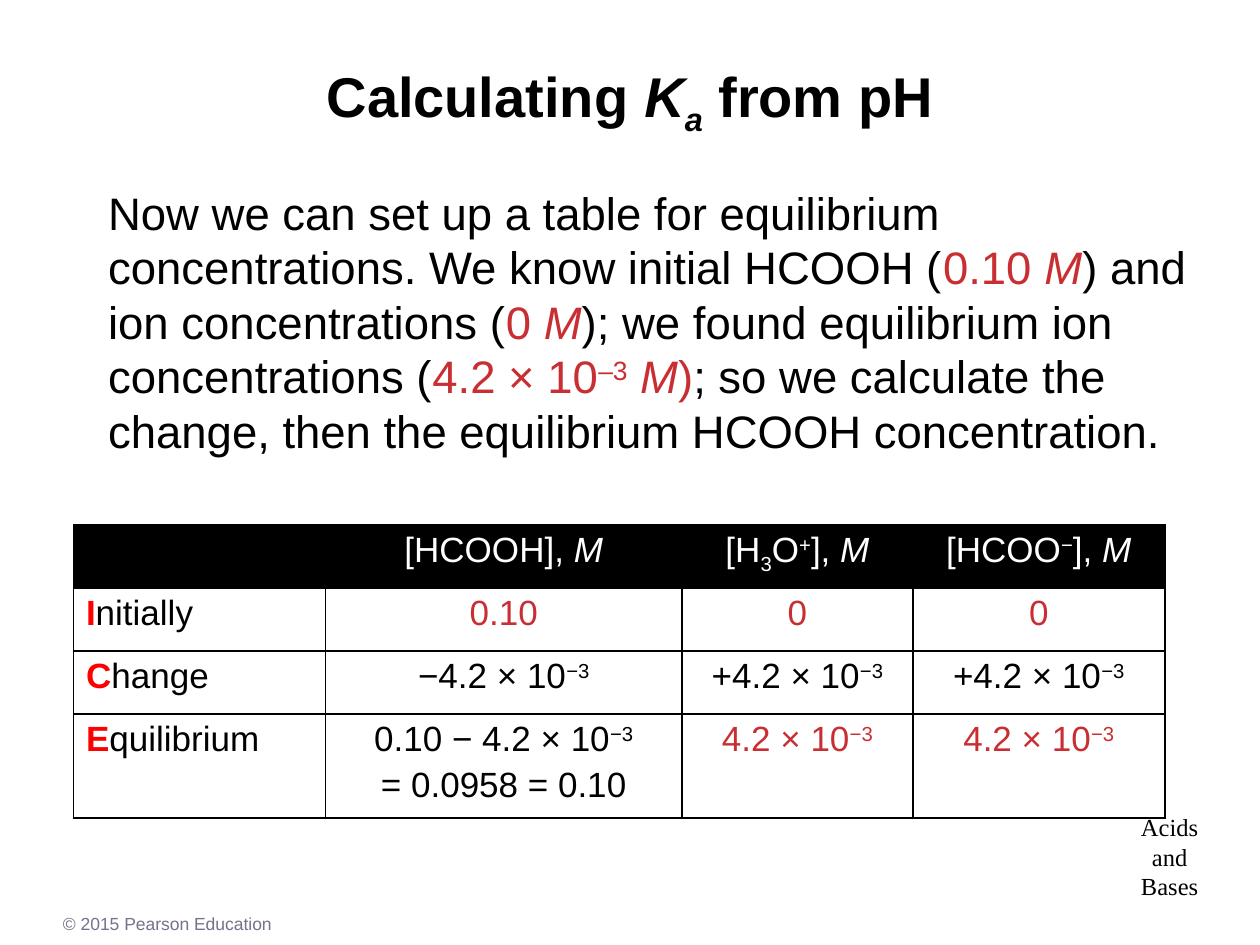
from lxml.etree import SubElement
from pptx import Presentation
from pptx.dml.color import RGBColor
from pptx.enum.text import MSO_ANCHOR, PP_ALIGN
from pptx.oxml.ns import qn
from pptx.util import Cm, Pt

BLACK = RGBColor(0, 0, 0)
WHITE = RGBColor(255, 255, 255)
RED = RGBColor(0xC8, 0x2E, 0x32)
BRIGHT = RGBColor(255, 0, 0)
GREY = RGBColor(0x73, 0x73, 0x8C)

# A paragraph is a list of (text, marks); each mark is one letter.
FONT_MARKS = {
    "b": {"bold": True},
    "i": {"italic": True},
    "r": {"color": RED},
    "k": {"color": BRIGHT},
}
SHIFT_MARKS = {"^": "30000", "_": "-25000"}

TITLE = [("Calculating ", ""), ("K", "i"), ("a", "i_"), (" from pH", "")]
BODY = [
    ("Now we can set up a table for equilibrium concentrations. "
     "We know initial HCOOH (", ""),
    ("0.10 ", "r"), ("M", "ri"),
    (") and ion concentrations (", ""),
    ("0 ", "r"), ("M", "ri"),
    ("); we found equilibrium ion concentrations (", ""),
    ("4.2 × 10", "r"), ("–3", "r^"), (" M", "ri"), (")", "r"),
    ("; so we calculate the change, then the equilibrium HCOOH "
     "concentration.", ""),
]
CHAPTER = [[("Acids", "")], [("and", "")], [("Bases", "")]]
RIGHTS = [("© 2015 Pearson Education", "")]


def power(base, mark=""):
    """Runs for a value times ten to the minus three."""
    return [(base + " × 10", mark), ("−3", mark + "^")]


def label(word):
    """Runs for a row name with its first letter picked out."""
    return [(word[0], "kb"), (word[1:], "")]


# Each cell is a list of paragraphs.
ROWS = [
    [[],
     [[("[HCOOH], ", ""), ("M", "i")]],
     [[("[H", ""), ("3", "_"), ("O", ""), ("+", "^"), ("], ", ""), ("M", "i")]],
     [[("[HCOO", ""), ("−", "^"), ("], ", ""), ("M", "i")]]],
    [[label("Initially")], [[("0.10", "r")]], [[("0", "r")]], [[("0", "r")]]],
    [[label("Change")], [power("−4.2")], [power("+4.2")], [power("+4.2")]],
    [[label("Equilibrium")],
     [power("0.10 − 4.2"), [("= 0.0958 = 0.10", "")]],
     [power("4.2", "r")], [power("4.2", "r")]],
]
WIDTHS = [5.08, 7.19, 4.65, 5.08]
HEIGHTS = [1.27, 1.27, 1.27, 2.1]


def style(font, values):
    for name, value in values.items():
        if name == "color":
            font.color.rgb = value
        else:
            setattr(font, name, value)


def write(frame, paras, form, align=PP_ALIGN.LEFT, gap=0):
    for num, runs in enumerate(paras):
        para = frame.add_paragraph() if num else frame.paragraphs[0]
        para.alignment = align
        para.space_before = Pt(gap if num else 0)
        for text, marks in runs:
            run = para.add_run()
            run.text = text
            style(run.font, form)
            for mark in marks:
                if mark in SHIFT_MARKS:
                    run.font._element.set("baseline", SHIFT_MARKS[mark])
                else:
                    style(run.font, FONT_MARKS[mark])


def add_text(slide, box, paras, form, align=PP_ALIGN.LEFT):
    frame = slide.shapes.add_textbox(*map(Cm, box)).text_frame
    frame.word_wrap = True
    write(frame, paras, form, align)


def add_lines(cell):
    """Draw a thin black line on each side of the cell."""
    props = cell._tc.get_or_add_tcPr()
    for side in ("lnL", "lnR", "lnT", "lnB"):
        line = SubElement(props, qn("a:" + side), w=str(Pt(1)))
        fill = SubElement(line, qn("a:solidFill"))
        SubElement(fill, qn("a:srgbClr"), val=str(BLACK))


def add_grid(slide):
    box = map(Cm, (1.48, 10.58, sum(WIDTHS), sum(HEIGHTS)))
    table = slide.shapes.add_table(len(ROWS), len(WIDTHS), *box).table
    table.first_row = table.horz_banding = False
    for col, width in zip(table.columns, WIDTHS):
        col.width = Cm(width)
    for row, height in zip(table.rows, HEIGHTS):
        row.height = Cm(height)
    for r, row in enumerate(ROWS):
        for c, paras in enumerate(row):
            cell = table.cell(r, c)
            add_lines(cell)
            if r:
                cell.fill.background()
            else:
                cell.fill.solid()
                cell.fill.fore_color.rgb = BLACK
            form = {"name": "Arial", "size": Pt(20),
                    "color": BLACK if r else WHITE}
            align = PP_ALIGN.CENTER if c else PP_ALIGN.LEFT
            write(cell.text_frame, paras, form, align, gap=4)


def main():
    deck = Presentation()
    deck.slide_width, deck.slide_height = Cm(25.4), Cm(19.05)
    slide = deck.slides.add_slide(deck.slide_layouts[5])

    add_text(slide, (22.68, 16.25, 1.8, 2.03), CHAPTER,
             {"name": "Times New Roman", "size": Pt(14), "color": BLACK},
             PP_ALIGN.CENTER)
    add_text(slide, (1.02, 18.29, 22.86, 0.69), [RIGHTS],
             {"name": "Arial", "size": Pt(10), "color": GREY})

    title = slide.shapes.title
    title.left, title.top, title.width, title.height = map(
        Cm, (0, 0.43, 25.4, 3.18))
    title.text_frame.vertical_anchor = MSO_ANCHOR.MIDDLE
    write(title.text_frame, [TITLE],
          {"name": "Arial", "size": Pt(32), "color": BLACK, "bold": True},
          PP_ALIGN.CENTER)

    add_text(slide, (1.93, 3.6, 22.81, 5.82), [BODY],
             {"name": "Arial", "size": Pt(26), "color": BLACK})
    add_grid(slide)
    deck.save("out.pptx")


if __name__ == "__main__":
    main()
